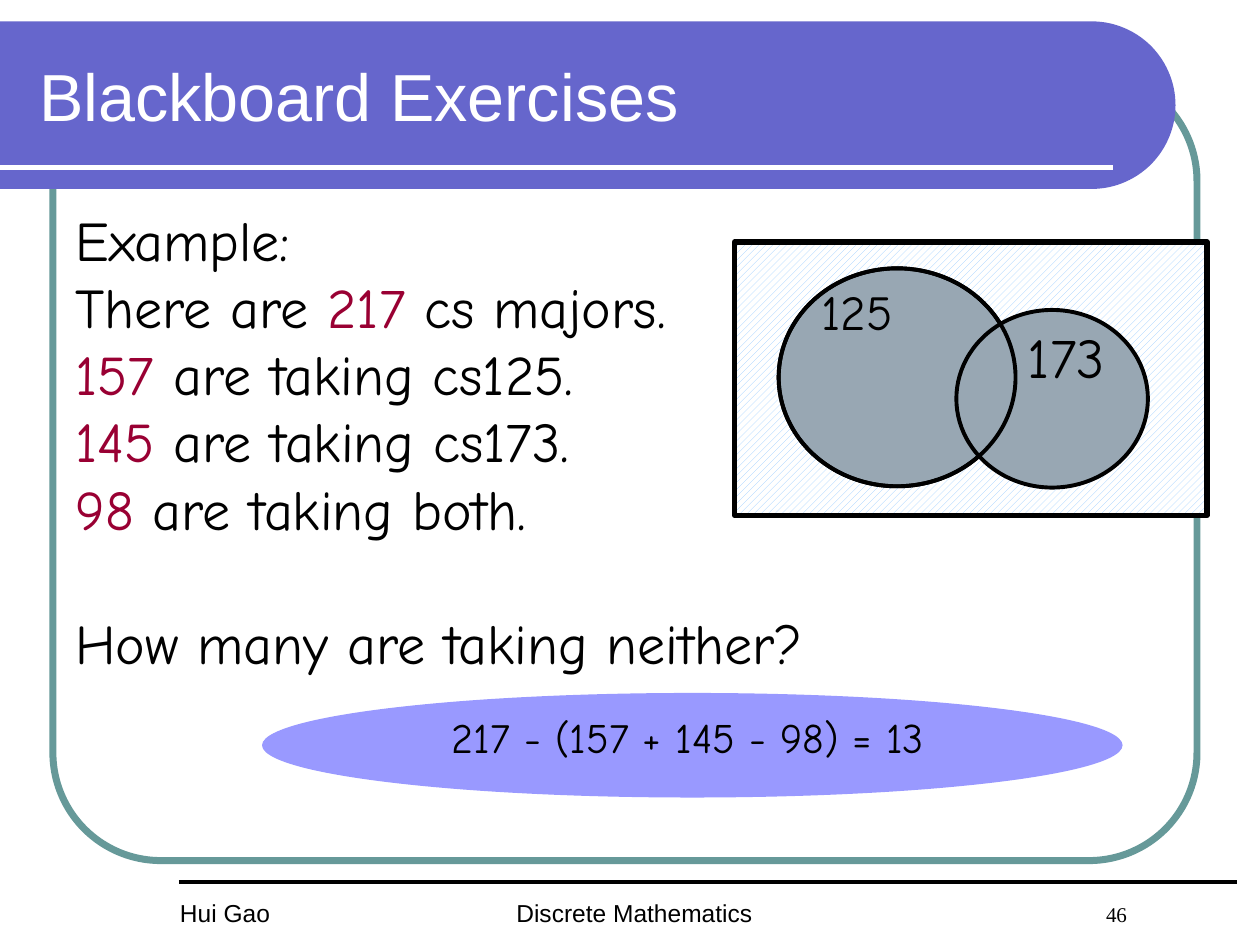
"""Build the Blackboard Exercises slide with its Venn diagram."""
import math
from typing import NamedTuple

import pptx
import pptx.util
import pptx.dml.color
import pptx.enum.dml
import pptx.enum.shapes
import pptx.enum.text
import pptx.oxml

Inches, Pt = pptx.util.Inches, pptx.util.Pt
SHAPE = pptx.enum.shapes.MSO_SHAPE
ALIGN = pptx.enum.text.PP_ALIGN
ANCHOR = pptx.enum.text.MSO_ANCHOR
COLORS = {
    "black": "000000", "white": "FFFFFF", "banner": "6666CC", "frame": "669999",
    "number": "990033", "answer": "9999FF", "circle": "98A7B3", "hatch": "99CCFF",
}


class Box(NamedTuple):
    x: float
    y: float
    w: float
    h: float


class Label(NamedTuple):
    box: Box
    text: str
    size: int
    font: str = "Arial"
    align: ALIGN = ALIGN.LEFT
    spacing: float = 1.0


def rgb(name: str) -> pptx.dml.color.RGBColor:
    return pptx.dml.color.RGBColor.from_string(COLORS[name])


def lengths(box: Box) -> list:
    return [Inches(v) for v in box]


def add_run(p, text: str, *, size: int, font: str = "Arial", color: str = "black") -> None:
    r = p.add_run()
    r.text = text
    r.font.size, r.font.name = Pt(size), font
    r.font.color.rgb = rgb(color)


def style(sp, fill: str = "", line: str = "", width: float = 0) -> None:
    sp.shadow.inherit = False
    if fill:
        sp.fill.solid()
        sp.fill.fore_color.rgb = rgb(fill)
    else:
        sp.fill.background()
    if line:
        sp.line.color.rgb = rgb(line)
        sp.line.width = Pt(width)
    else:
        sp.line.fill.background()


def add_shape(s, kind: SHAPE, box: Box, fill: str = "", line: str = "", width: float = 0):
    sp = s.shapes.add_shape(kind, *lengths(box))
    style(sp, fill, line, width)
    return sp


def add_rule(s, x1: float, x2: float, y: float, color: str, width: float) -> None:
    ln = s.shapes.add_connector(
        pptx.enum.shapes.MSO_CONNECTOR.STRAIGHT, Inches(x1), Inches(y), Inches(x2), Inches(y))
    ln.line.color.rgb = rgb(color)
    ln.line.width = Pt(width)
    ln.element.spPr.append(pptx.oxml.parse_xml(
        '<a:effectLst xmlns:a="http://schemas.openxmlformats.org/drawingml/2006/main"/>'))


def add_text_frame(s, box: Box):
    tf = s.shapes.add_textbox(*lengths(box)).text_frame
    tf.word_wrap = True
    return tf


def add_label(s, label: Label) -> None:
    p = add_text_frame(s, label.box).paragraphs[0]
    p.alignment, p.line_spacing = label.align, label.spacing
    add_run(p, label.text, size=label.size, font=label.font)


def add_banner(s) -> None:
    top, radius, center = 0.17, 0.665, 8.665
    arc = [(center + radius * math.cos(a), top + radius + radius * math.sin(a))
           for a in (math.radians(d) for d in range(-90, 91, 3))]
    fb = s.shapes.build_freeform(0, Inches(top), scale=1.0)
    fb.add_line_segments(
        [(Inches(x), Inches(y)) for x, y in arc + [(0, top + 2 * radius)]], close=True)
    style(fb.convert_to_shape(), "banner")
    add_rule(s, 0, 8.83, 1.33, "white", 3)


def add_title(s, text: str) -> None:
    sp = s.shapes.title
    sp.left, sp.top, sp.width, sp.height = lengths(Box(0.21, 0.25, 8.77, 1))
    tf = sp.text_frame
    tf.auto_size = pptx.enum.text.MSO_AUTO_SIZE.NONE
    tf.vertical_anchor = ANCHOR.MIDDLE
    p = tf.paragraphs[0]
    p.alignment = ALIGN.LEFT
    add_run(p, text, size=38, color="white")
    sp.element.getparent().append(sp.element)


def add_exercise(s) -> None:
    lines = [
        ("Example:", "", ""),
        ("There are ", "217", " cs majors."),
        ("", "157", " are taking cs125."),
        ("", "145", " are taking cs173."),
        ("", "98", " are taking both."),
        ("How many are taking neither?", "", ""),
    ]
    tf = add_text_frame(s, Box(0.5, 1.58, 8.67, 4.83))
    for i, parts in enumerate(lines):
        p = tf.paragraphs[0] if i == 0 else tf.add_paragraph()
        if i == len(lines) - 1:
            p.space_before = Pt(38.4)
        for text, color in zip(parts, ("black", "number", "black")):
            if text:
                add_run(p, text, size=32, font="Comic Neue", color=color)


def add_venn(s) -> None:
    sp = add_shape(s, SHAPE.RECTANGLE, Box(5.83, 1.92, 3.75, 2.17), line="black", width=3)
    sp.fill.patterned()
    sp.fill.pattern = pptx.enum.dml.MSO_PATTERN.WIDE_UPWARD_DIAGONAL
    sp.fill.fore_color.rgb = rgb("hatch")
    sp.fill.back_color.rgb = rgb("white")
    cs125, cs173 = Box(6.18, 2.13, 1.88, 1.73), Box(7.59, 2.46, 1.52, 1.41)
    for box, fill in ((cs125, "circle"), (cs173, "circle"), (cs125, "")):
        add_shape(s, SHAPE.OVAL, box, fill, "black", 2.25)


def main() -> None:
    prs = pptx.Presentation()
    prs.slide_width, prs.slide_height = Inches(10), Inches(7.5)
    s = prs.slides.add_slide(prs.slide_layouts[5])
    frame = add_shape(s, SHAPE.ROUNDED_RECTANGLE, Box(0.42, 0.58, 9.08, 6.25),
                      line="frame", width=4)
    frame.adjustments[0] = 0.137
    add_banner(s)
    add_rule(s, 1.42, 9.82, 7, "black", 2.25)
    add_title(s, "Blackboard Exercises")
    add_exercise(s)
    add_shape(s, SHAPE.OVAL, Box(2.08, 5.5, 6.83, 0.83), "answer")
    add_venn(s)
    labels = [
        Label(Box(4, 7.08, 3, 0.33), "Discrete Mathematics", 14),
        Label(Box(8.68, 7.11, 0.6, 0.3), "46", 12, "Times New Roman"),
        Label(Box(1.33, 7.08, 1.92, 0.33), "Hui Gao", 14),
        Label(Box(2.08, 5.6, 6.76, 0.5), "217 - (157 + 145 - 98) = 13", 24,
              "Comic Neue", ALIGN.CENTER),
        Label(Box(6.42, 2.24, 1.05, 0.76), "125", 28, "Comic Neue", spacing=0.9),
        Label(Box(8.06, 2.57, 1.41, 0.65), "173", 32, "Comic Neue", spacing=0.9),
    ]
    for label in labels:
        add_label(s, label)
    prs.save("out.pptx")


main()
